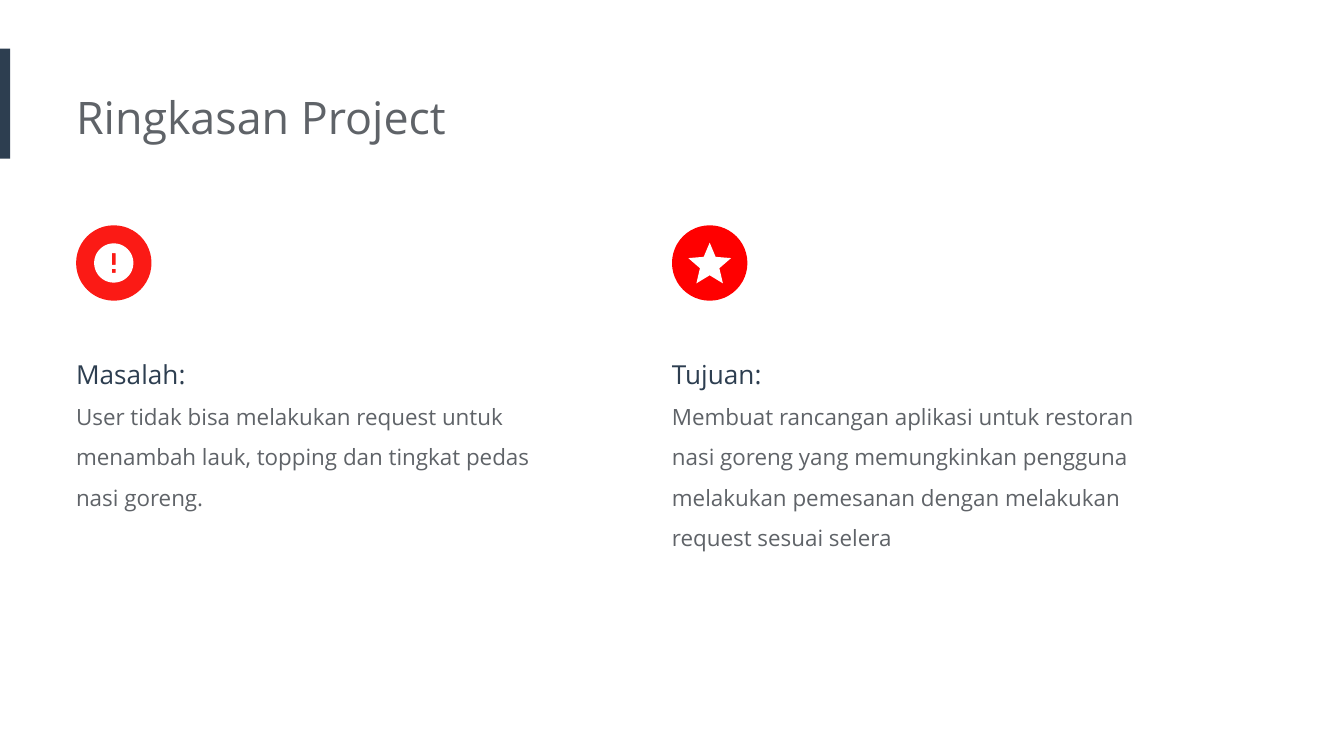
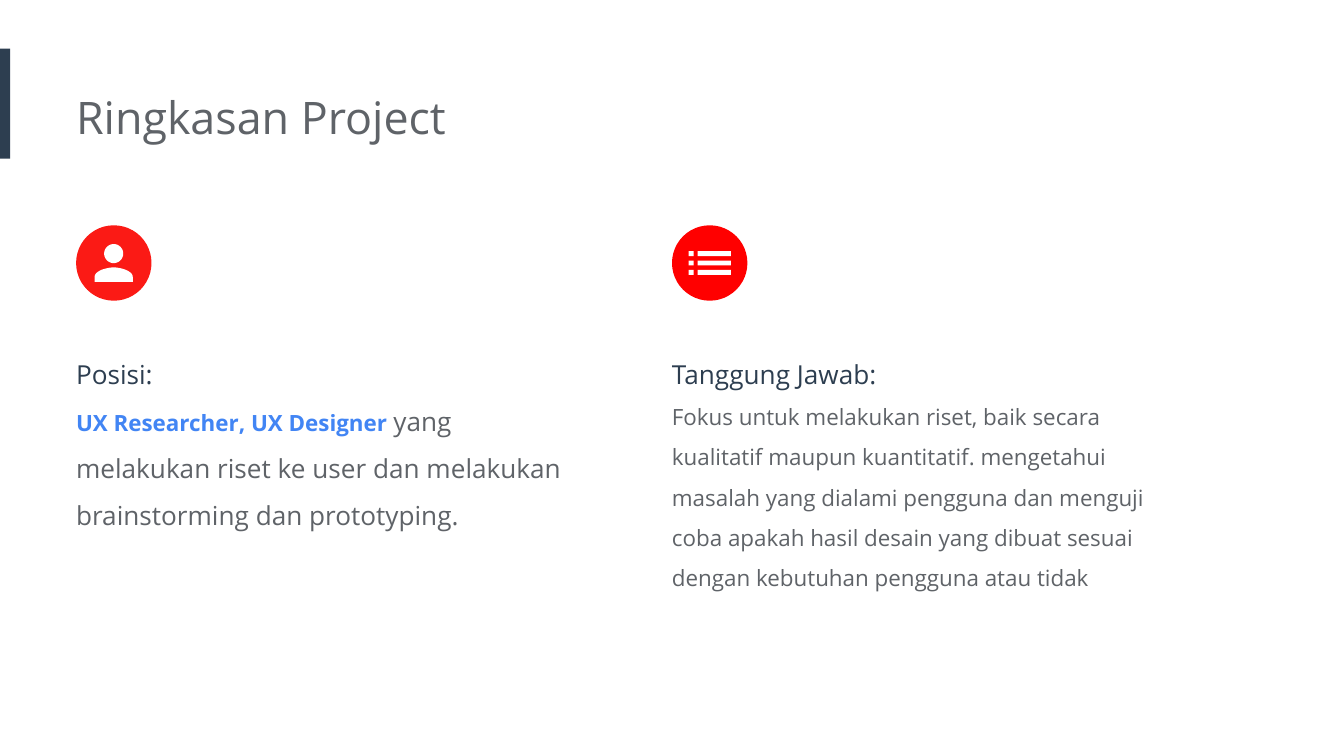
from math import cos, pi, sin

from pptx import Presentation
from pptx import util as u
from pptx.dml import color as clr
from pptx.enum import shapes, text

Pt = u.Pt


class Theme:
    font = "Open Sans"
    navy, gray, blue, white = "2D3E50", "5F6368", "4285F4", "FFFFFF"
    discs = ("FB1A15", "FF0000")
    title, head, body = 24, 14, 12


# Each card: icon, box height, heading, then runs of (text, format)
body = dict(size=Theme.body, color=Theme.gray)
large = dict(size=Theme.head, color=Theme.gray)
role = dict(size=Theme.body, color=Theme.blue, bold=True)
TITLE = "Ringkasan Project"
SLIDES = [
    [
        ("alert", 105, "Masalah:", [
            ("User tidak bisa melakukan request untuk menambah lauk, topping "
             "dan tingkat pedas nasi goreng.", body)]),
        ("star", 127.5, "Tujuan:", [
            ("Membuat rancangan aplikasi untuk restoran nasi goreng yang "
             "memungkinkan pengguna melakukan pemesanan dengan melakukan "
             "request sesuai selera", body)]),
    ],
    [
        ("person", 108, "Posisi:", [
            ("UX Researcher, UX Designer ", role),
            ("yang melakukan riset ke user dan melakukan brainstorming dan "
             "prototyping.", large)]),
        ("list", 149, "Tanggung Jawab:", [
            ("Fokus untuk melakukan riset, baik secara kualitatif maupun "
             "kuantitatif. mengetahui masalah yang dialami pengguna dan "
             "menguji coba apakah hasil desain yang dibuat sesuai dengan "
             "kebutuhan pengguna atau tidak", body)]),
    ],
]

# Layout in points
WIDE, HIGH = 720, 405
COLS = (40.75, 360)
DISC, DISC_TOP = 40.4, 120.7
CARD_TOP, CARD_WIDE = 176.4, 271.5
TITLE_BOX = (COLS[0], 41, 484.5, 44)
BAR = (0, 26, 5.5, 59)


# Icon outlines: lists of points measured from the centre of the disc
def rect(left, top, right, low):
    return [(left, top), (right, top), (right, low), (left, low)]


def ring(radius, mid=0, steps=72):
    turns = [2 * pi * i / steps for i in range(steps)]
    return [(radius * cos(a), mid + radius * sin(a)) for a in turns]


def curve(a, b, c, d, steps=16):
    """Points along a cubic Bezier curve."""
    spots = []
    for i in range(steps + 1):
        t = i / steps
        parts = ((1 - t) ** 3, 3 * t * (1 - t) ** 2, 3 * t * t * (1 - t), t ** 3)
        spots.append(tuple(sum(k * p[n] for k, p in zip(parts, (a, b, c, d)))
                           for n in (0, 1)))
    return spots


def mirror(half):
    """Close a right half that starts and ends on the centre line."""
    return half + [(-x, y) for x, y in half[-2:0:-1]]


star = [(0, 6.6), (7.1, 10.9), (5.2, 2.8), (11.45, -2.6), (3.2, -3.3), (0, -10.9)]
torso = curve((0, 2.4), (3.4, 2.4), (10.2, 4.1), (10.2, 7.5))
torso += [(10.2, 10.2), (0, 10.2)]
ICONS = {
    "alert": [ring(10.5), rect(-1.05, -5.3, 1.05, 1), rect(-1.05, 3.2, 1.05, 5.3)],
    "star": [mirror(star)],
    "person": [ring(5.1, -5), mirror(torso)],
    "list": [rect(left, mid - 1.3, right, mid + 1.3)
             for mid in (-5, 0, 5)
             for left, right in ((-11.3, -8.6), (-6.4, 11.4))],
}


def paint(shape, color):
    shape.shadow.inherit = False
    shape.fill.solid()
    shape.fill.fore_color.rgb = clr.RGBColor.from_string(color)
    shape.line.fill.background()


def block(slide, kind, box, color):
    paint(slide.shapes.add_shape(kind, *map(Pt, box)), color)


def draw(slide, icon, x, y):
    """Draw an icon around the centre x, y as one shape."""
    pen = None
    for path in ICONS[icon]:
        spots = [(Pt(x + dx), Pt(y + dy)) for dx, dy in path]
        if pen is None:
            pen = slide.shapes.build_freeform(*spots[0])
        else:
            pen.move_to(*spots[0])
        pen.add_line_segments(spots[1:], close=True)
    paint(pen.convert_to_shape(), Theme.white)


def frame(slide, box):
    area = slide.shapes.add_textbox(*map(Pt, box)).text_frame
    area.word_wrap = True
    area.auto_size = text.MSO_AUTO_SIZE.SHAPE_TO_FIT_TEXT
    area.margin_left = 0
    area.margin_top = area.margin_right = area.margin_bottom = Pt(7.2)
    return area


def write(par, words, size, color, bold=False):
    run = par.add_run()
    run.text = words
    run.font.name = Theme.font
    run.font.size = Pt(size)
    run.font.bold = bold
    run.font.color.rgb = clr.RGBColor.from_string(color)


def card(slide, left, disc, icon, high, head, runs):
    area = frame(slide, (left, CARD_TOP, CARD_WIDE, high))
    top, main = area.paragraphs[0], area.add_paragraph()
    top.line_spacing = main.line_spacing = 1.5
    write(top, head, size=Theme.head, color=Theme.navy)
    for words, form in runs:
        write(main, words, **form)
    block(slide, shapes.MSO_SHAPE.OVAL, (left, DISC_TOP, DISC, DISC), disc)
    draw(slide, icon, left + DISC / 2, DISC_TOP + DISC / 2)


def main():
    deck = Presentation()
    deck.slide_width, deck.slide_height = Pt(WIDE), Pt(HIGH)
    for cards in SLIDES:
        slide = deck.slides.add_slide(deck.slide_layouts[6])
        block(slide, shapes.MSO_SHAPE.RECTANGLE, BAR, Theme.navy)
        title = frame(slide, TITLE_BOX).paragraphs[0]
        write(title, TITLE, size=Theme.title, color=Theme.gray)
        for left, disc, item in zip(COLS, Theme.discs, cards):
            card(slide, left, disc, *item)
    deck.save("out.pptx")


if __name__ == "__main__":
    main()
